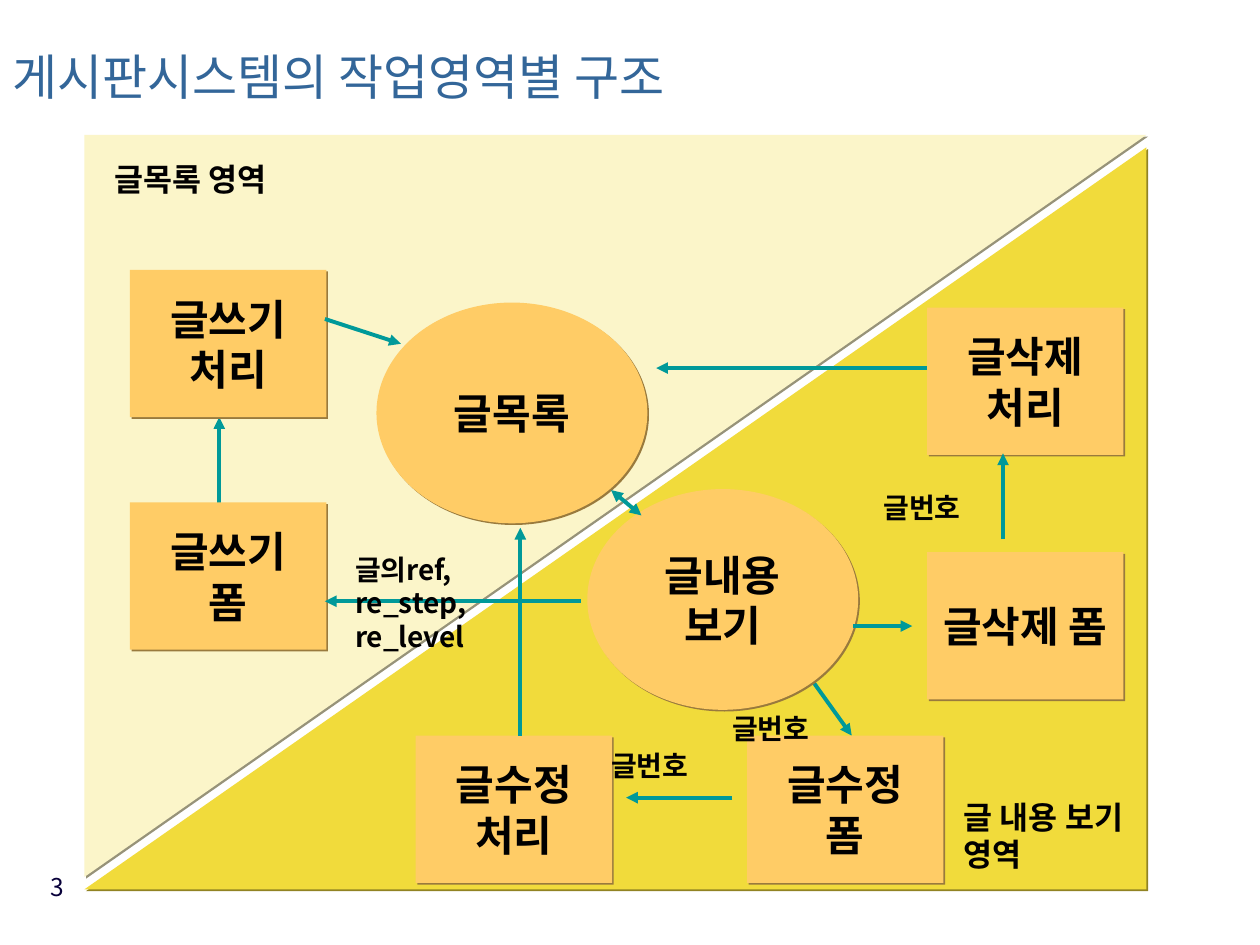
from lxml import etree
from pptx import Presentation
from pptx.dml.color import RGBColor
from pptx.enum.shapes import MSO_CONNECTOR, MSO_SHAPE
from pptx.enum.text import MSO_ANCHOR, PP_ALIGN
from pptx.oxml.ns import qn
from pptx.util import Cm, Pt

RECTANGLE, ELLIPSE = MSO_SHAPE.RECTANGLE, MSO_SHAPE.OVAL
TRIANGLE = MSO_SHAPE.RIGHT_TRIANGLE
STRAIGHT = MSO_CONNECTOR.STRAIGHT
LEFT, CENTER, RIGHT = PP_ALIGN.LEFT, PP_ALIGN.CENTER, PP_ALIGN.RIGHT
TOP, MIDDLE = MSO_ANCHOR.TOP, MSO_ANCHOR.MIDDLE

FONT = "Noto Sans CJK KR"
INK, TITLE_BLUE, NUMBER_NAVY = "010000", "336699", "08003A"
ARROW_TEAL = "009999"
NODE_FILL, NODE_SHADOW = "FFCC66", "997A3D"
LIST_FILL, LIST_SHADOW = "FBF5C9", "979379"
VIEW_FILL, VIEW_SHADOW = "F1DB3B", "918323"

# All lengths below are centimetres, relative to the diagram's corner.
RECTANGLE_SIZE, ELLIPSE_SIZE = (3.96, 2.97), (5.46, 4.45)
WRITE_X, DELETE_X, EDIT_Y = 0.92, 16.99, 12.11
NODES = [
    (RECTANGLE, 13.36, EDIT_Y, "글수정\n폼"),
    (RECTANGLE, DELETE_X, 8.41, "글삭제 폼"),
    (RECTANGLE, WRITE_X, 7.41, "글쓰기\n폼"),
    (ELLIPSE, 5.89, 3.38, "글목록"),
    (ELLIPSE, 10.14, 7.14, "글내용\n보기"),
    (RECTANGLE, WRITE_X, 2.72, "글쓰기\n처리"),
    (RECTANGLE, 6.68, EDIT_Y, "글수정\n처리"),
    (RECTANGLE, DELETE_X, 3.48, "글삭제\n처리"),
]
ARROWS_BEHIND_NODES = [
    (2.72, 7.41, 2.72, 5.69),
    (14.58, 10.87, 15.47, EDIT_Y),
]
LIST_VIEW_ARROW = (10.62, 7.16, 11.23, 7.67)
ARROWS = [
    (13.06, 13.36, 10.92, 13.36),
    (10.01, 9.40, 4.85, 9.40),
    (15.50, 9.90, 16.69, 9.90),
    (4.85, 3.71, 6.38, 4.21),
    (18.52, 8.15, 18.52, 6.42),
    (DELETE_X, 4.70, 11.53, 4.70),
    (8.79, EDIT_Y, 8.79, 7.92),
]
LABELS = [
    (10.62, 12.37, 2.74, 0.69, "글번호", 16),
    (13.06, 11.63, 2.74, 0.69, "글번호", 16),
    (16.11, 7.16, 2.74, 0.69, "글번호", 16),
    (5.46, 8.41, 2.74, 2.03, "글의ref, re_step, re_level", 16),
    (0.61, 0.51, 4.85, 0.76, "글목록 영역", 18),
    (17.73, 13.36, 3.33, 1.52, "글 내용 보기 영역", 18),
]


def color(value):
    return RGBColor.from_string(value)


def write_text(shape, text, size, ink=INK, bold=False, align=LEFT, anchor=TOP,
               wrap=True, inset=(0.25, 0.13), before=None, spacing=None):
    frame = shape.text_frame
    frame.word_wrap = wrap
    frame.vertical_anchor = anchor
    frame.margin_left = frame.margin_right = Cm(inset[0])
    frame.margin_top = frame.margin_bottom = Cm(inset[1])
    frame.text = text
    for para in frame.paragraphs:
        para.alignment = align
        if before is not None:
            para.space_before = Pt(before)
        if spacing is not None:
            para.line_spacing = spacing
        for span in para.runs:
            span.font.size = Pt(size)
            span.font.bold = bold
            span.font.color.rgb = color(ink)
            span.font.name = FONT
            etree.SubElement(span.font._element, qn("a:ea"), typeface=FONT)


def add_text(page, left, top, width, height, text, size, **style):
    box = page.shapes.add_textbox(Cm(left), Cm(top), Cm(width), Cm(height))
    write_text(box, text, size, **style)


def add_shadowed_shape(page, kind, left, top, width, height, fill, shadow):
    """Add a borderless shape with a hard shadow to the lower right."""
    shape = page.shapes.add_shape(kind, Cm(left), Cm(top), Cm(width), Cm(height))
    shape.fill.solid()
    shape.fill.fore_color.rgb = color(fill)
    shape.line.fill.background()
    shape.shadow.inherit = False
    effects = shape._element.spPr.find(qn("a:effectLst"))
    outer = etree.SubElement(effects, qn("a:outerShdw"), dist=str(Pt(1.4)),
                             dir=str(45 * 60000), algn="ctr", rotWithShape="0")
    etree.SubElement(outer, qn("a:srgbClr"), val=shadow)
    return shape


def add_half(page, left, top, width, height, rotation, fill, shadow):
    """Fill half of the given box with a right triangle on its side."""
    shift = (width - height) / 2
    half = add_shadowed_shape(page, TRIANGLE, left + shift, top - shift,
                              height, width, fill, shadow)
    half.rotation = rotation


def add_arrow(page, left, top, ends, both=False):
    x1, y1, x2, y2 = ends
    arrow = page.shapes.add_connector(STRAIGHT, Cm(left + x1), Cm(top + y1),
                                      Cm(left + x2), Cm(top + y2))
    arrow.line.color.rgb = color(ARROW_TEAL)
    arrow.line.width = Pt(2.25)
    line = arrow.line._get_or_add_ln()
    for end in ("a:headEnd", "a:tailEnd") if both else ("a:tailEnd",):
        etree.SubElement(line, qn(end), type="triangle")
    etree.SubElement(arrow._element.spPr, qn("a:effectLst"))


def add_node(page, left, top, kind, text):
    width, height = ELLIPSE_SIZE if kind == ELLIPSE else RECTANGLE_SIZE
    node = add_shadowed_shape(page, kind, left, top, width, height,
                              NODE_FILL, NODE_SHADOW)
    write_text(node, text, 24, bold=True, align=CENTER, anchor=MIDDLE, wrap=False)


def add_diagram(page, left, top, width, height):
    gap = 0.25
    half_height = height - gap
    add_half(page, left, top + gap, width, half_height, 270, VIEW_FILL, VIEW_SHADOW)
    add_half(page, left, top, width, half_height, 90, LIST_FILL, LIST_SHADOW)
    for ends in ARROWS_BEHIND_NODES:
        add_arrow(page, left, top, ends)
    for kind, x, y, text in NODES:
        add_node(page, left + x, top + y, kind, text)
    add_arrow(page, left, top, LIST_VIEW_ARROW, both=True)
    for ends in ARROWS:
        add_arrow(page, left, top, ends)
    for x, y, label_width, label_height, text, size in LABELS:
        add_text(page, left + x, top + y, label_width, label_height, text, size,
                 bold=True, inset=(0, 0), before=size * 0.625)


def main():
    deck = Presentation()
    deck.slide_width, deck.slide_height = Cm(25.4), Cm(19.05)
    page = deck.slides.add_slide(deck.slide_layouts[6])
    add_text(page, 0.36, 17.45, 1.19, 1.32, "3", 14, ink=NUMBER_NAVY, align=RIGHT)
    add_diagram(page, 1.70, 2.72, 21.41, 15.21)
    add_text(page, 0, 0.53, 16.31, 2.29, "게시판시스템의 작업영역별 구조", 28,
             ink=TITLE_BLUE, anchor=MIDDLE, spacing=0.7)
    deck.save("out.pptx")


if __name__ == "__main__":
    main()
